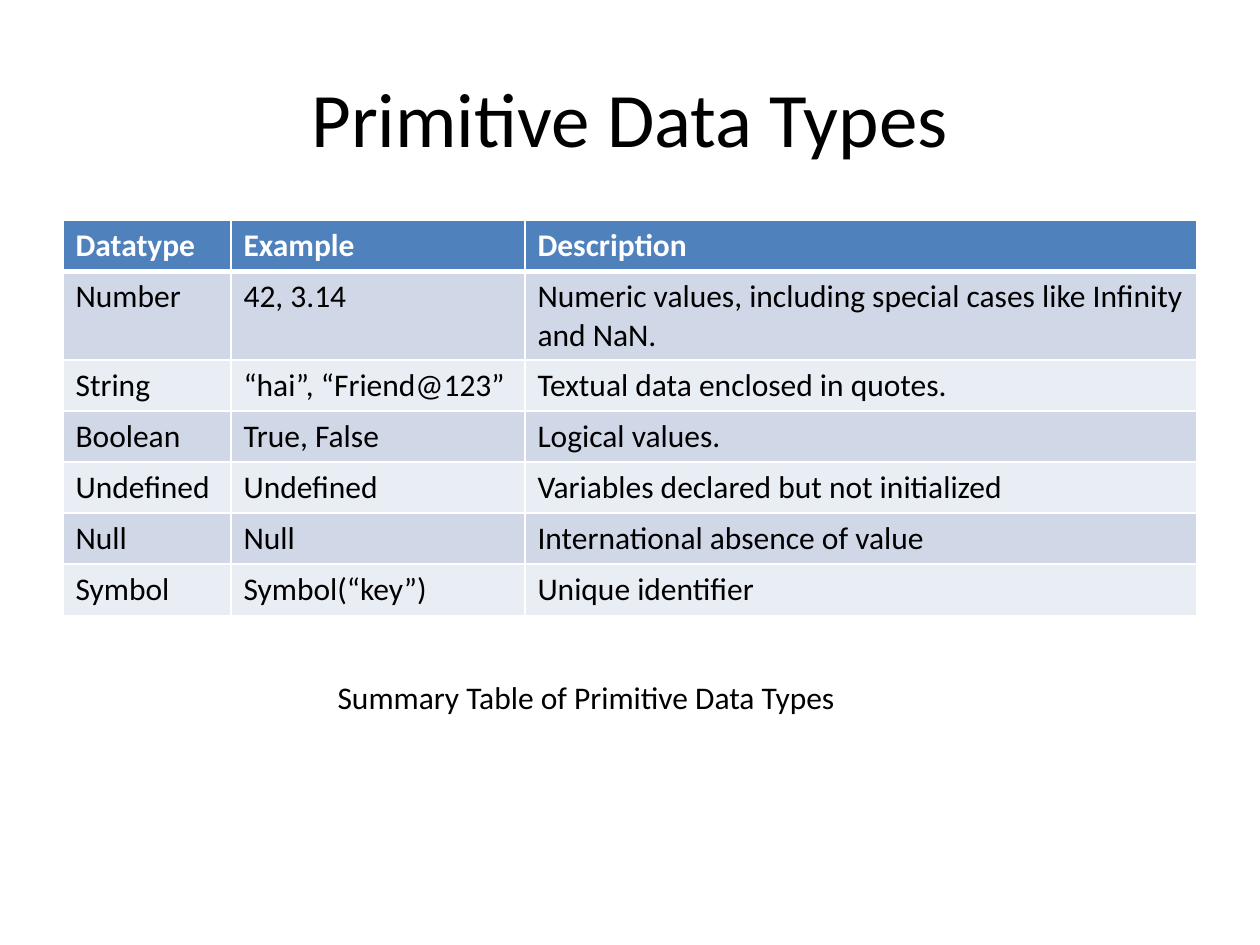
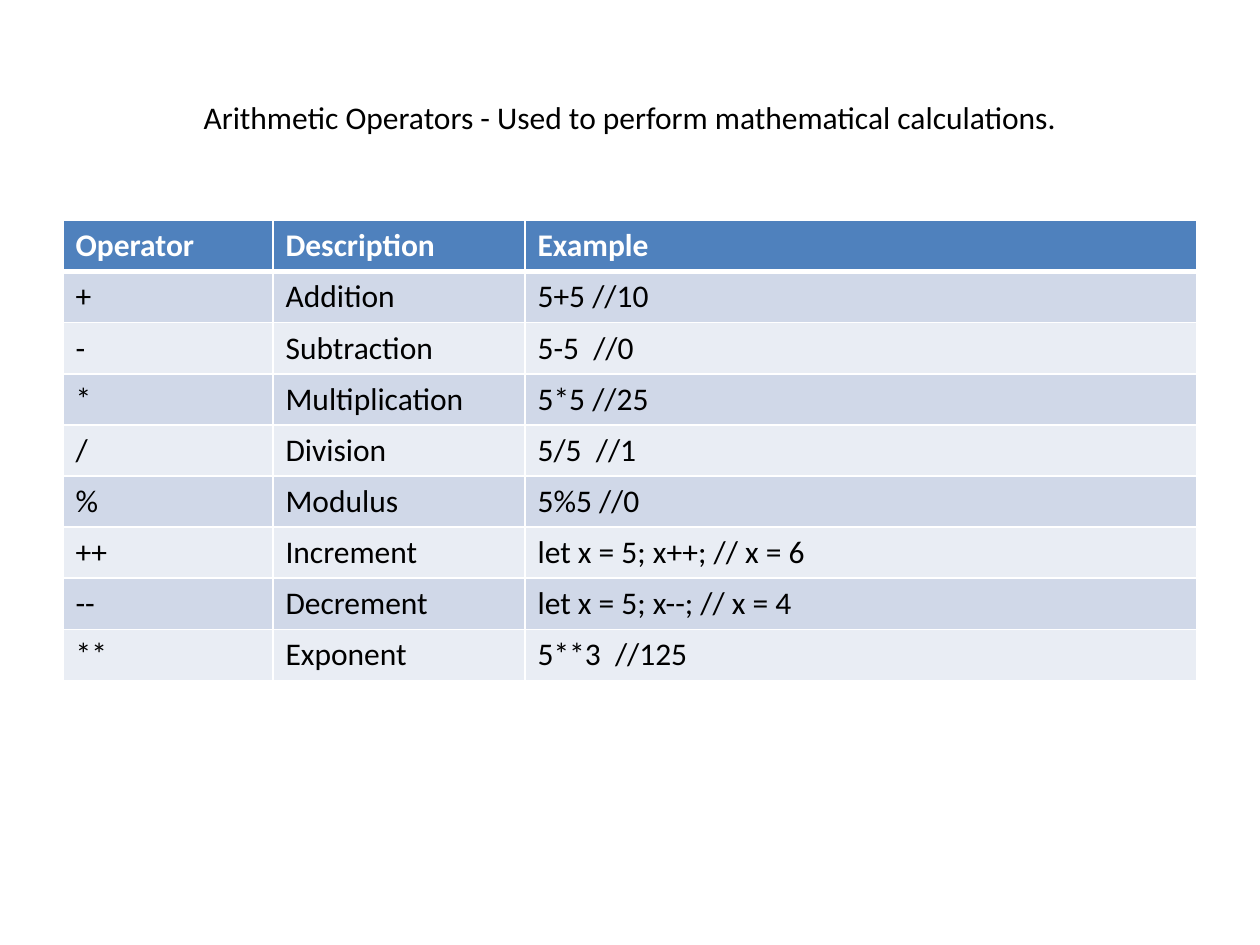
from pptx import Presentation
from pptx.dml.color import RGBColor
from pptx.enum.text import MSO_ANCHOR, PP_ALIGN
from pptx.oxml import parse_xml
from pptx.oxml.ns import nsdecls
from pptx.util import Pt

FONT = "Calibri"
BODY_SIZE = 18
BLACK, WHITE = "000000", "FFFFFF"
HEADER_FILL = "4F81BD"
BAND_FILLS = ("D0D8E8", "E9EDF4")
MARGIN, CONTENT_WIDTH = 36, 648
TABLE_TOP, ROW_HEIGHT = 126, 29.2
RULE, HEADER_RULE = 1, 3

DATA_TYPES = [
    ("Datatype", "Example", "Description"),
    ("Number", "42, 3.14", "Numeric values, including special cases like Infinity and NaN."),
    ("String", "“hai”, “Friend@123”", "Textual data enclosed in quotes."),
    ("Boolean", "True, False", "Logical values."),
    ("Undefined", "Undefined", "Variables declared but not initialized"),
    ("Null", "Null", "International absence of value"),
    ("Symbol", "Symbol(“key”)", "Unique identifier"),
]
OPERATORS = [
    ("Operator", "Description", "Example"),
    ("+", "Addition", "5+5 //10"),
    ("-", "Subtraction", "5-5  //0"),
    ("*", "Multiplication", "5*5 //25"),
    ("/", "Division", "5/5  //1"),
    ("%", "Modulus", "5%5 //0"),
    ("++", "Increment", "let x = 5; x++; // x = 6"),
    ("--", "Decrement", "let x = 5; x--; // x = 4"),
    ("**", "Exponent", "5**3  //125"),
]


def rgb(hex_color):
    """Turn a hex string into a colour."""
    return RGBColor.from_string(hex_color)


def write(frame, text, size=BODY_SIZE, color=BLACK, bold=False):
    """Put one styled paragraph into a text frame and return it."""
    frame.text = text
    paragraph = frame.paragraphs[0]
    font = paragraph.font
    font.name, font.size, font.bold = FONT, Pt(size), bold
    font.color.rgb = rgb(color)
    return paragraph


def add_title(slide, text, size):
    """Add the centred title at the top of a slide."""
    title = slide.shapes.add_textbox(Pt(MARGIN), Pt(21.6), Pt(CONTENT_WIDTH), Pt(90))
    frame = title.text_frame
    frame.word_wrap = True
    frame.vertical_anchor = MSO_ANCHOR.MIDDLE
    write(frame, text, size).alignment = PP_ALIGN.CENTER


def add_caption(slide, text):
    """Add the line of text below a table."""
    caption = slide.shapes.add_textbox(Pt(185.8), Pt(384), Pt(301.7), Pt(29))
    caption.text_frame.word_wrap = False
    write(caption.text_frame, text)


def set_borders(cell, top, bottom):
    """Draw white rules on the four sides of a cell."""
    properties = cell._tc.get_or_add_tcPr()
    for side, width in (("L", RULE), ("R", RULE), ("T", top), ("B", bottom)):
        properties.append(parse_xml(
            f'<a:ln{side} {nsdecls("a")} w="{Pt(width)}"><a:solidFill>'
            f'<a:srgbClr val="{WHITE}"/></a:solidFill></a:ln{side}>'))


def add_banded_table(slide, rows, column_widths):
    """Add a table with a header row and alternating row fills."""
    table = slide.shapes.add_table(
        len(rows), len(column_widths), Pt(MARGIN), Pt(TABLE_TOP),
        Pt(CONTENT_WIDTH), Pt(ROW_HEIGHT * len(rows))).table
    for column, width in zip(table.columns, column_widths):
        column.width = Pt(width)
    for row_index, values in enumerate(rows):
        table.rows[row_index].height = Pt(ROW_HEIGHT)
        is_header = row_index == 0
        fill = HEADER_FILL if is_header else BAND_FILLS[(row_index - 1) % 2]
        top = HEADER_RULE if row_index == 1 else RULE
        bottom = HEADER_RULE if is_header else RULE
        for column_index, value in enumerate(values):
            cell = table.cell(row_index, column_index)
            set_borders(cell, top, bottom)
            cell.fill.solid()
            cell.fill.fore_color.rgb = rgb(fill)
            write(cell.text_frame, value, color=WHITE if is_header else BLACK, bold=is_header)


def main():
    """Build both slides and save the presentation."""
    presentation = Presentation()
    presentation.slide_width, presentation.slide_height = Pt(720), Pt(540)
    blank = presentation.slide_layouts[6]

    types_slide = presentation.slides.add_slide(blank)
    add_title(types_slide, "Primitive Data Types", 44)
    add_banded_table(types_slide, DATA_TYPES, (96, 168, 384))
    add_caption(types_slide, "Summary Table of Primitive Data Types")

    operators_slide = presentation.slides.add_slide(blank)
    add_title(operators_slide,
              "Arithmetic Operators - Used to perform mathematical calculations.", BODY_SIZE)
    add_banded_table(operators_slide, OPERATORS, (120, 144, 384))

    presentation.save("out.pptx")


if __name__ == "__main__":
    main()
